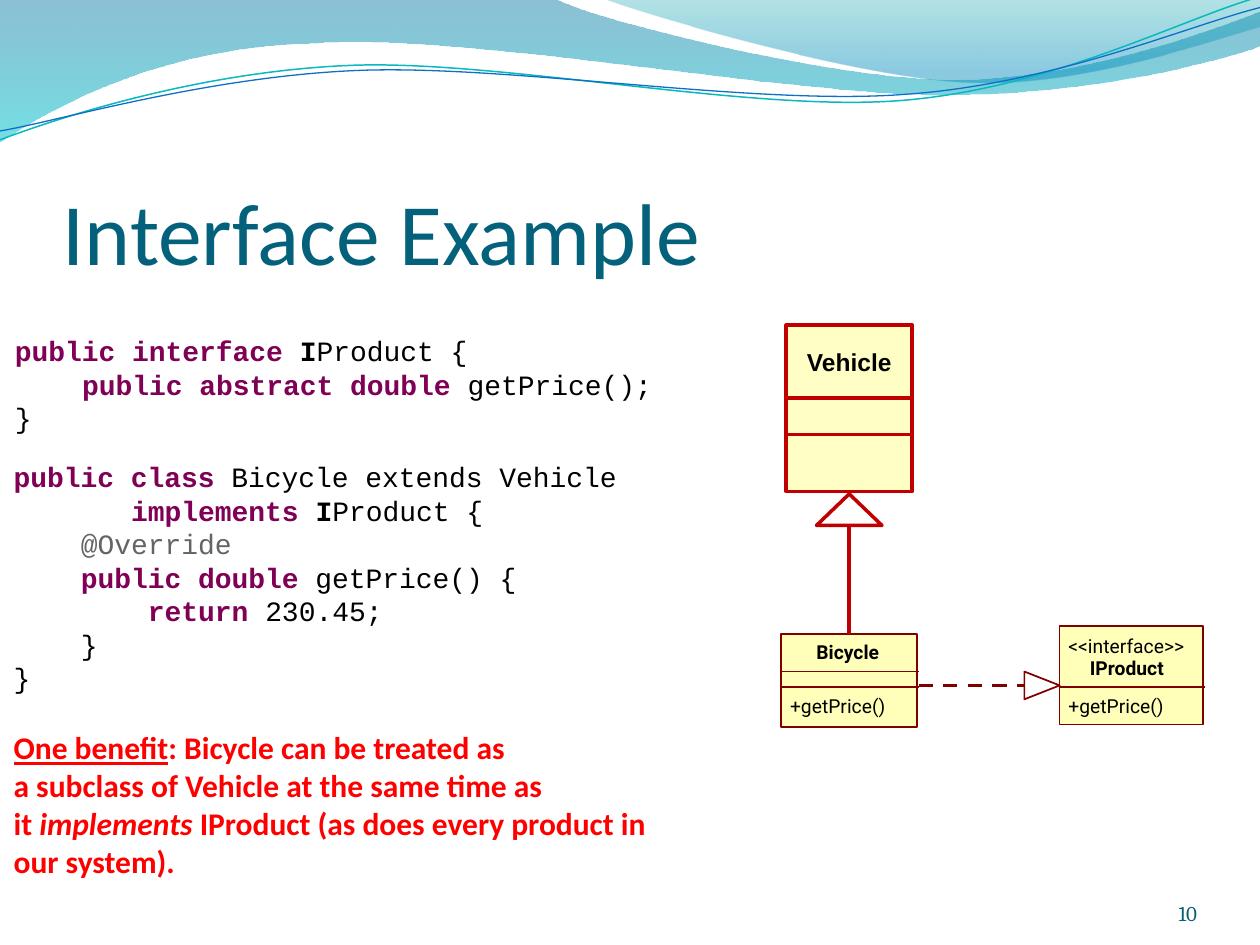
from dataclasses import dataclass
from lxml import etree
from pptx import Presentation, util as u
from pptx.dml.color import RGBColor
from pptx.enum import dml, shapes, text
from pptx.oxml import ns


@dataclass(frozen=True)
class Theme:
    title: str = "04617B"
    number: str = "045D75"
    keyword: str = "7F0055"
    note: str = "646464"
    black: str = "000000"
    white: str = "FFFFFF"
    alert: str = "FF0000"
    uml: str = "FFFFB9"
    uml_line: str = "800000"
    parent: str = "FFFFC5"
    parent_line: str = "C00000"
    code_size: float = 16
    uml_size: float = 11


T = Theme()
CHAR = 0.6 * T.code_size / 72  # width of one code character, inches
prs = Presentation()
prs.slide_width, prs.slide_height = u.Inches(10), u.Inches(7.5)
s = prs.slides.add_slide(prs.slide_layouts[6])


def rgb(c):
    return RGBColor.from_string(c)


def child(parent, tag, **attrs):
    return etree.SubElement(parent, ns.qn(tag), **attrs)


def style(sp, fill=None, line=None, width=1):
    sp.shadow.inherit = False
    if fill:
        sp.fill.solid()
        sp.fill.fore_color.rgb = rgb(fill)
    else:
        sp.fill.background()
    if line:
        sp.line.color.rgb = rgb(line)
        sp.line.width = u.Pt(width)
    else:
        sp.line.fill.background()
    return sp


def box(x, y, w, h, kind=shapes.MSO_SHAPE.RECTANGLE, **look):
    return style(s.shapes.add_shape(kind, *map(u.Inches, (x, y, w, h))), **look)


def line(x1, y1, x2, y2, color, width=1, dash=False):
    c = s.shapes.add_connector(shapes.MSO_CONNECTOR.STRAIGHT,
                               *map(u.Inches, (x1, y1, x2, y2)))
    c.line.color.rgb, c.line.width = rgb(color), u.Pt(width)
    if dash:
        c.line.dash_style = dml.MSO_LINE.DASH
    child(c._element.spPr, "a:effectLst")


def outline(start, *segments, closed=True, **look):
    """Segments are straight (2 numbers) or cubic (6 numbers), in inches."""
    pts = [(u.Inches(seg[i]), u.Inches(seg[i + 1]))
           for seg in segments for i in range(0, len(seg), 2)]
    fb = s.shapes.build_freeform(u.Inches(start[0]), u.Inches(start[1]))
    fb.add_line_segments(pts, close=closed)
    sp = fb.convert_to_shape()
    steps = iter(list(sp._element.spPr.iter(ns.qn("a:lnTo"))))
    for seg in segments:
        step = next(steps)
        if len(seg) == 6:
            step.tag = ns.qn("a:cubicBezTo")
            for _ in range(2):
                extra = next(steps)
                step.append(extra[0])
                extra.getparent().remove(extra)
    return style(sp, **look)


def gradient(sp, *stops):
    sp.fill.gradient()
    sp.fill.gradient_angle = 270
    for stop, (pos, color, alpha) in zip(sp.fill.gradient_stops, stops):
        stop.position, stop.color.rgb = pos, rgb(color)
    colors = sp._element.spPr.iter(ns.qn("a:srgbClr"))
    for clr, (pos, color, alpha) in zip(colors, stops):
        child(clr, "a:alpha", val=str(alpha * 1000))


def frame(x, y, w, h, ins=(0, 0, 0, 0), wrap=True, anchor=text.MSO_ANCHOR.TOP):
    tf = s.shapes.add_textbox(*map(u.Inches, (x, y, w, h))).text_frame
    tf.margin_left, tf.margin_top, tf.margin_right, tf.margin_bottom = map(u.Inches, ins)
    tf.word_wrap, tf.vertical_anchor = wrap, anchor
    return tf


def font(p, name, size, color, bold=False):
    f = p.font
    f.name, f.size, f.bold, f.color.rgb = name, u.Pt(size), bold, rgb(color)


def label(x, y, w, h, words, name, size, color, bold=False, align=None, **opts):
    tf = frame(x, y, w, h, **opts)
    p = tf.paragraphs[0]
    p.text, p.alignment = words, align
    font(p, name, size, color, bold)


def waves():
    # Two tinted waves, then two thin lines
    big = outline((0, 0), (4.4, -0.01), (4.76, 0.17, 6.64, 0.63, 7.58, 0.63),
                  (8.53, 0.63, 9.58, 0.26, 10, 0.09), (10.01, 0.36),
                  (9.83, 0.44, 8.7, 0.76, 7.46, 0.75),
                  (6.22, 0.75, 3.82, 0.28, 2.57, 0.34),
                  (1.29, 0.36, 0.46, 0.83, -0.01, 1.13))
    gradient(big, (0, "0074A1", 45), (1, "00C6CF", 55))
    small = outline((4.79, -0.01), (5.09, 0.11, 6.82, 0.62, 7.69, 0.65),
                    (8.56, 0.69, 9.61, 0.32, 10, 0.21), (10, 0))
    gradient(small, (0, "00A1A9", 30), (0.8, "008BBF", 45))
    outline((0, 1.11), (0.48, 0.93, 1.58, 0.57, 2.77, 0.52),
            (3.95, 0.47, 5.93, 0.89, 7.13, 0.8),
            (8.33, 0.71, 9.38, 0.15, 9.98, -0.02), closed=False, line="0AB8BF", width=0.85)
    outline((0, 1.04), (0.47, 0.96, 1.64, 0.61, 2.83, 0.56),
            (4.03, 0.51, 5.97, 0.84, 7.17, 0.75),
            (8.36, 0.67, 9.41, 0.21, 10, 0.06), closed=False, line="0F6FC6", width=0.75)


def code(x, y, w, h, rows):
    """Rows are (indent in characters, (text, look), ...); look is k, b, n or blank."""
    tf = frame(x, y, w, h, ins=(0.1, 0.05, 0.1, 0.05))
    for i, (indent, *runs) in enumerate(rows):
        p = tf.paragraphs[0] if i == 0 else tf.add_paragraph()
        font(p, "Courier New", T.code_size, T.black)
        p.line_spacing = u.Pt(19.15)
        p._p.get_or_add_pPr().set("marL", str(u.Inches(indent * CHAR)))
        for words, look in runs:
            r = p.add_run()
            r.text = words
            if look in ("k", "b"):
                r.font.bold = True
            if look in ("k", "n"):
                r.font.color.rgb = rgb(T.keyword if look == "k" else T.note)
    return tf


def benefit(tf):
    rows = [[("One benefit", "u"), (": Bicycle can be treated as", "")],
            [("a subclass of Vehicle at the same time as", "")],
            [("it ", ""), ("implements", "i"),
             (" IProduct (as does every product in our system).", "")]]
    for i, runs in enumerate(rows):
        p = tf.add_paragraph()
        font(p, "Calibri", 18, T.alert, True)
        p.space_before = u.Pt(0 if i else 19.5)
        for words, look in runs:
            r = p.add_run()
            r.text = words
            if look == "u":
                r.font.underline = True
            if look == "i":
                r.font.italic = True


def uml_class(x, y, w, h, rules, labels):
    """Rules and labels are offsets from the top left corner."""
    box(x, y, w, h, fill=T.uml, line=T.uml_line)
    for dy in rules:
        line(x, y + dy, x + w + 0.01, y + dy, T.uml_line)
    for dx, dy, words, bold in labels:
        label(x + dx, y + dy, w - dx, 0.21, words, "Roboto", T.uml_size, T.black, bold,
              wrap=False)


def parent_class(x, y, w, name, heights):
    for i, h in enumerate(heights):
        sp = box(x, y, w, h, fill=T.parent, line=T.parent_line, width=2)
        if i == 0:
            p = sp.text_frame.paragraphs[0]
            p.text, p.alignment = name, text.PP_ALIGN.CENTER
            font(p, "Arial", 14, T.black, True)
        y += h


# Background, title and page number
waves()
label(0.5, 1, 9, 1.25, "Interface Example", "Calibri", 50, T.title,
      ins=(0, 0.05, 0, 0), anchor=text.MSO_ANCHOR.BOTTOM)
label(8.67, 6.95, 0.83, 0.4, "10", "Cambria", 12, T.number,
      align=text.PP_ALIGN.RIGHT, anchor=text.MSO_ANCHOR.BOTTOM)

# Code and its benefit
code(0.02, 2.6, 7.33, 0.91, [
    (0, ("public interface ", "k"), ("I", "b"), ("Product {", "")),
    (4, ("public abstract double ", "k"), ("getPrice();", "")),
    (0, ("}", ""))])
benefit(code(0.01, 3.6, 5.43, 3.47, [
    (0, ("public class ", "k"), ("Bicycle extends Vehicle", "")),
    (7, ("implements ", "k"), ("I", "b"), ("Product {", "")),
    (4, ("@Override", "n")),
    (4, ("public double ", "k"), ("getPrice() {", "")),
    (8, ("return ", "k"), ("230.45;", "")),
    (4, ("}", "")),
    (0, ("}", ""))]))

# Class diagram
uml_class(6.2, 5.03, 1.08, 0.74, (0.3, 0.42),
          [(0.28, 0.05, "Bicycle", True), (0.07, 0.48, "+getPrice()", False)])
uml_class(8.41, 4.97, 1.14, 0.78, (0.48,),
          [(0.24, 0.24, "IProduct", True), (0.07, 0.06, "<<interface>>", False),
           (0.07, 0.54, "+getPrice()", False)])
line(7.29, 5.44, 8.41, 5.44, T.uml_line, 2, dash=True)
outline((8.13, 5.55), (8.41, 5.44), (8.13, 5.33), fill=T.white, line=T.uml_line)
line(6.74, 5.03, 6.74, 4.17, T.parent_line, 2)
box(6.48, 3.92, 0.52, 0.25, shapes.MSO_SHAPE.ISOSCELES_TRIANGLE, line=T.parent_line, width=2)
parent_class(6.24, 2.58, 1, "Vehicle", (0.58, 0.29, 0.45))

prs.save("out.pptx")
